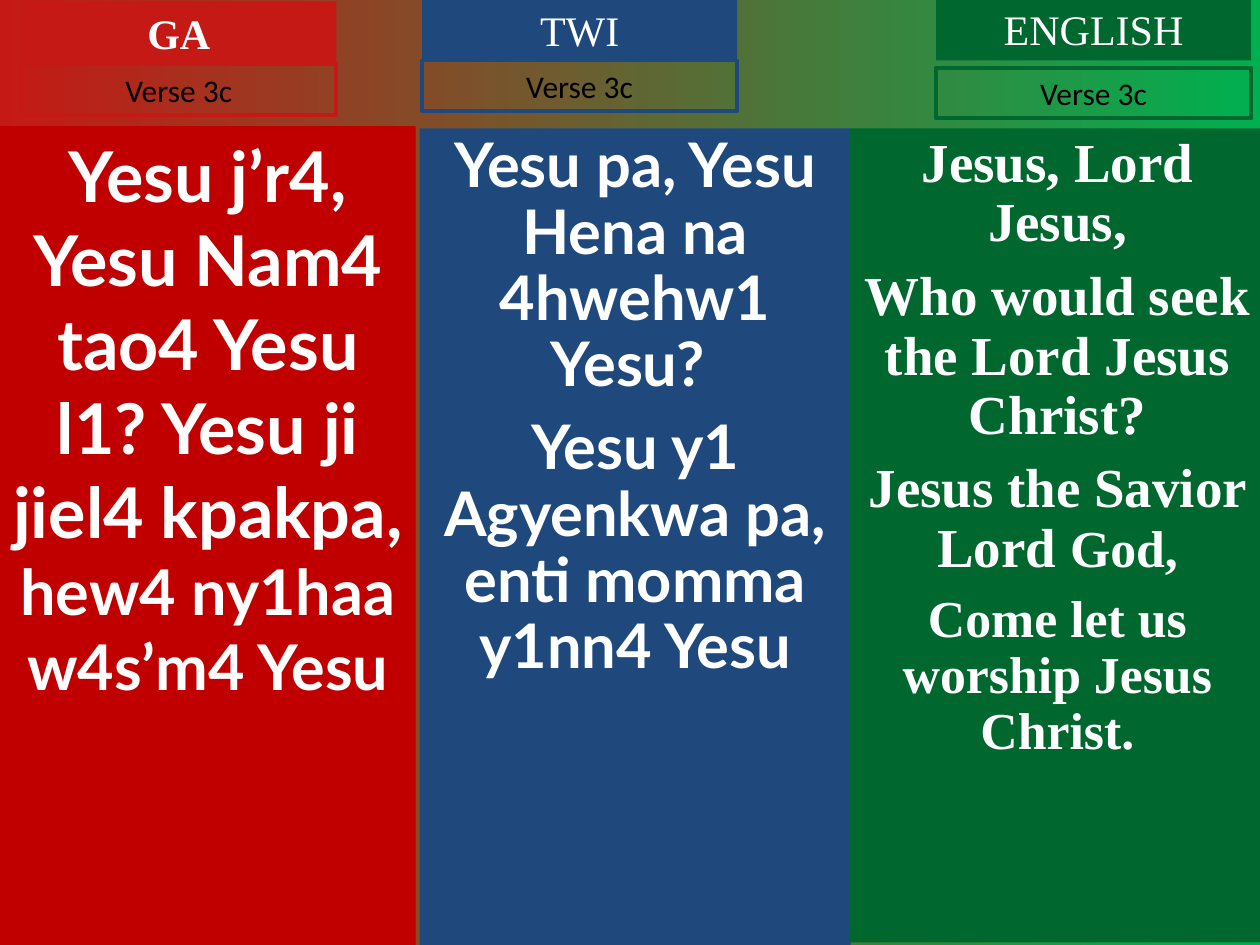
from lxml.etree import SubElement
from pptx import Presentation
from pptx.dml.color import RGBColor as RGB
from pptx.enum.text import MSO_ANCHOR as ANCHOR, MSO_AUTO_SIZE as FIT, PP_ALIGN as ALIGN
from pptx.oxml.ns import qn
from pptx.util import Cm, Pt

THEME = {
    "red": "C51915", "deep_red": "C00000", "blue": "1F497D",
    "green": "00682F", "bright_green": "00B050",
    "white": "FFFFFF", "black": "000000",
    "serif": "Times New Roman", "sans": "Lato", "label": "Calibri",
    "head": 24, "verse": 18,
    "ga": 40, "ga_small": 36, "twi": 35.1, "english": 31.4, "english_small": 29.6,
}


def color(name):
    return RGB.from_string(THEME[name])


def fill_box(sp, box, paragraphs, font, ink, bold=False, spacing=1.0, gaps=()):
    """Place sp and write paragraphs, each a list of (text, size name) runs."""
    sp.left, sp.top, sp.width, sp.height = (Cm(v) for v in box)
    tf = sp.text_frame
    tf.word_wrap = True
    tf.auto_size = FIT.NONE
    tf.vertical_anchor = ANCHOR.TOP
    for i, runs in enumerate(paragraphs):
        p = tf.paragraphs[0] if i == 0 else tf.add_paragraph()
        p.alignment = ALIGN.CENTER
        p.line_spacing = spacing
        p.space_before = Pt(gaps[i - 1] if i else 0)
        p.space_after = Pt(0)
        pPr = p._p.get_or_add_pPr()
        pPr.set("marL", "0")
        pPr.set("indent", "0")
        SubElement(pPr, qn("a:buNone"))
        for text, size in runs:
            r = p.add_run()
            r.text = text
            r.font.name = THEME[font]
            r.font.size = Pt(THEME[size])
            r.font.bold = bold
            r.font.color.rgb = color(ink)


prs = Presentation()
prs.slide_width, prs.slide_height = Cm(25.4), Cm(19.05)
s = prs.slides.add_slide(prs.slide_layouts.get_by_name("Comparison"))

bg = s.background.fill
bg.gradient()
bg.gradient_angle = 0
for stop, name, position in zip(bg.gradient_stops, ("red", "bright_green"), (0, 1)):
    stop.color.rgb = color(name)
    stop.position = position

holders = {ph.placeholder_format.idx: ph for ph in s.placeholders}
HEAD_W, HEAD_H, VERSE_H = 6.35, 1.27, 1.02

columns = [
    dict(name="GA", accent="red", panel="deep_red", head_idx=0, body_idx=2,
         head_bold=True, left=0.43, head_top=0.03, verse_top=1.3,
         body=(0, 2.54, 8.38, 16.51), font="sans", spacing=1.0, gaps=(),
         lyrics=[[("Yesu j’r4, Yesu Nam4 tao4 Yesu l1? Yesu ji jiel4 kpakpa, ", "ga"),
                  ("hew4 ny1haa w4s’m4 Yesu", "ga_small")]]),
    dict(name="TWI", accent="blue", panel="blue", head_idx=1, body_idx=4,
         head_bold=False, left=8.51, head_top=-0.03, verse_top=1.22,
         body=(8.46, 2.59, 8.69, 16.46), font="sans", spacing=0.9, gaps=(9.5,),
         lyrics=[[("Yesu pa, Yesu Hena na 4hwehw1 Yesu? ", "twi")],
                 [("Yesu y1 Agyenkwa pa, enti momma y1nn4 Yesu", "twi")]]),
    dict(name="ENGLISH", accent="green", panel="green", head_idx=3, body_idx=None,
         head_bold=False, left=18.87, head_top=-0.05, verse_top=1.37,
         body=(17.14, 2.59, 8.36, 16.41), font="serif", spacing=0.9, gaps=(8.5, 8, 8),
         lyrics=[[("Jesus, Lord Jesus,", "english")],
                 [("Who would seek the Lord Jesus Christ?", "english")],
                 [("Jesus the Savior Lord ", "english"), ("God,", "english_small")],
                 [("Come let us worship Jesus Christ.", "english_small")]]),
]

for col in columns:
    body = holders.get(col["body_idx"]) or s.shapes.add_textbox(0, 0, 0, 0)
    fill_box(body, col["body"], col["lyrics"], col["font"], "white",
             bold=True, spacing=col["spacing"], gaps=col["gaps"])
    body.fill.solid()
    body.fill.fore_color.rgb = color(col["panel"])

    head = holders[col["head_idx"]]
    fill_box(head, (col["left"], col["head_top"], HEAD_W, HEAD_H),
             [[(col["name"], "head")]], "serif", "white", bold=col["head_bold"])
    head.fill.solid()
    head.fill.fore_color.rgb = color(col["accent"])

    verse = s.shapes.add_textbox(0, 0, 0, 0)
    fill_box(verse, (col["left"], col["verse_top"], HEAD_W, VERSE_H),
             [[("Verse 3c", "verse")]], "label", "black")
    verse.line.color.rgb = color(col["accent"])
    verse.line.width = Pt(2.25)

prs.save("out.pptx")
